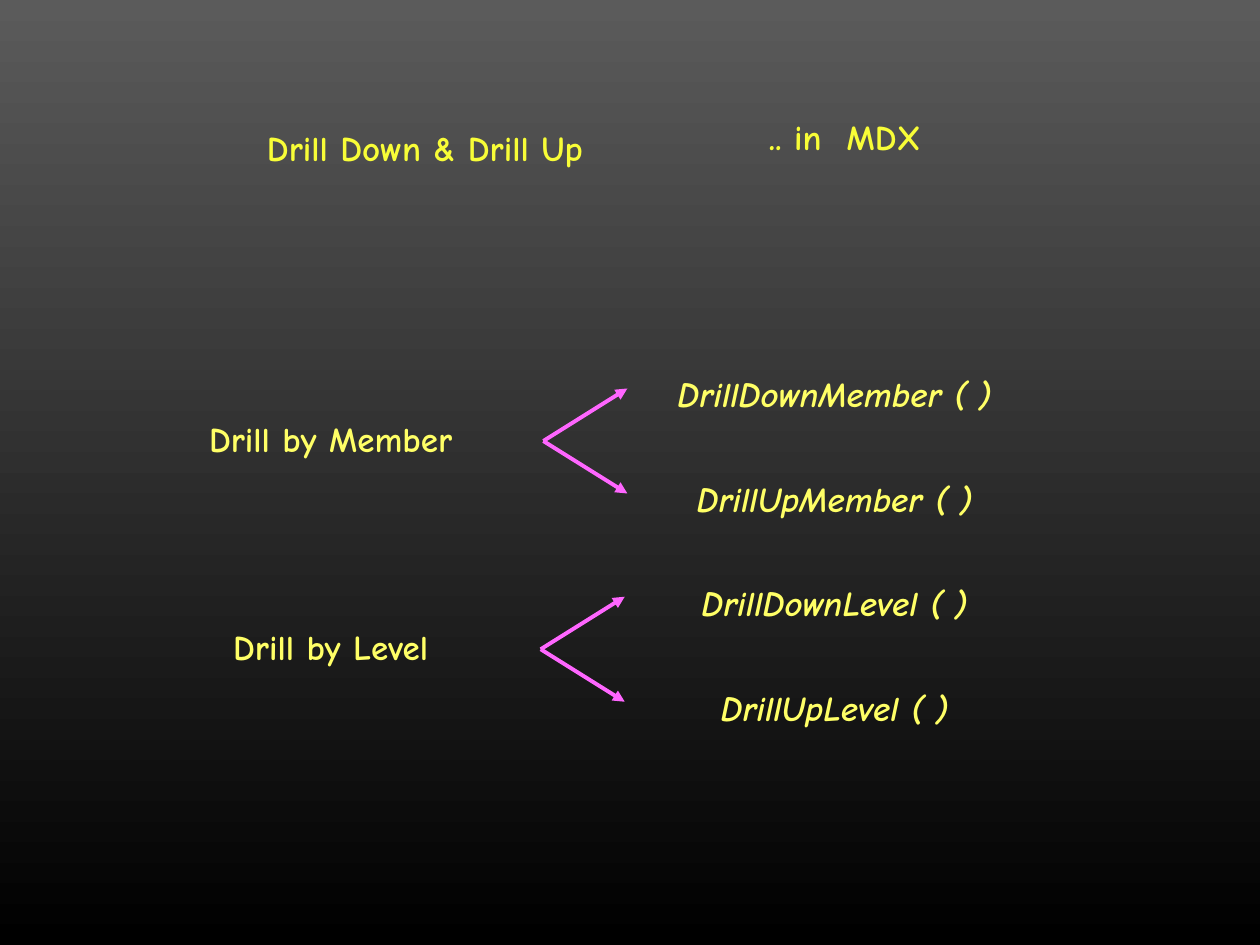
from lxml.etree import SubElement
from pptx import Presentation
from pptx.dml.color import RGBColor
from pptx.enum.shapes import MSO_CONNECTOR
from pptx.enum.text import MSO_ANCHOR, PP_ALIGN
from pptx.oxml.ns import qn
from pptx.util import Pt

FONT = "Comic Neue"
TITLE_YELLOW = "F8FD37"
TEXT_YELLOW = "FFFF66"
ARROW_PINK = "FF66FF"


def color(hex_string):
    return RGBColor.from_string(hex_string)


def set_background(slide):
    fill = slide.background.fill
    fill.gradient()
    fill.gradient_angle = 270
    for stop, shade in zip(fill.gradient_stops, ("5B5B5B", "000000")):
        stop.color.rgb = color(shade)


def add_text(slide, text, left, top, width, height, shade, italic=False):
    shape = slide.shapes.add_textbox(Pt(left), Pt(top), Pt(width), Pt(height))
    frame = shape.text_frame
    frame.word_wrap = True
    frame.vertical_anchor = MSO_ANCHOR.MIDDLE
    frame.text = text
    paragraph = frame.paragraphs[0]
    paragraph.alignment = PP_ALIGN.CENTER
    font = paragraph.runs[0].font
    font.name = FONT
    font.size = Pt(20)
    font.bold = True
    font.italic = italic
    font.color.rgb = color(shade)


def add_arrow(slide, start_x, start_y, end_x, end_y):
    arrow = slide.shapes.add_connector(
        MSO_CONNECTOR.STRAIGHT, Pt(start_x), Pt(start_y), Pt(end_x), Pt(end_y))
    arrow.line.color.rgb = color(ARROW_PINK)
    arrow.line.width = Pt(2.25)
    SubElement(arrow.line._get_or_add_ln(), qn("a:tailEnd"), type="triangle")
    SubElement(arrow._element.spPr, qn("a:effectLst"))


def add_heading(slide, left, top):
    add_text(slide, "Drill Down & Drill Up", left, top, 282, 48, TITLE_YELLOW)
    add_text(slide, ".. in  MDX", left + 285, top, 192, 36, TITLE_YELLOW)


def add_drill_group(slide, label, functions, left, top, fork_left):
    """Place a label, and a fork of arrows leading to its two functions."""
    width, height, pitch = 222, 40, 60
    add_text(slide, label, left, top + 22, width, 47, TEXT_YELLOW)
    for index, function in enumerate(functions):
        offset = index * pitch
        add_arrow(slide, fork_left, top + 47, fork_left + 48, top + 17 + offset)
        add_text(slide, function, left + 288, top + offset, width, height,
                 TEXT_YELLOW, italic=True)


def main():
    presentation = Presentation()
    presentation.slide_width = Pt(720)
    presentation.slide_height = Pt(540)
    slide = presentation.slides.add_slide(presentation.slide_layouts[6])
    set_background(slide)
    add_heading(slide, 102, 60)
    add_drill_group(slide, "Drill by Member",
                    ("DrillDownMember ( )", "DrillUpMember ( )"), 78, 205, 310.5)
    add_drill_group(slide, "Drill by Level",
                    ("DrillDownLevel ( )", "DrillUpLevel ( )"), 78, 324, 309)
    presentation.save("out.pptx")


if __name__ == "__main__":
    main()
